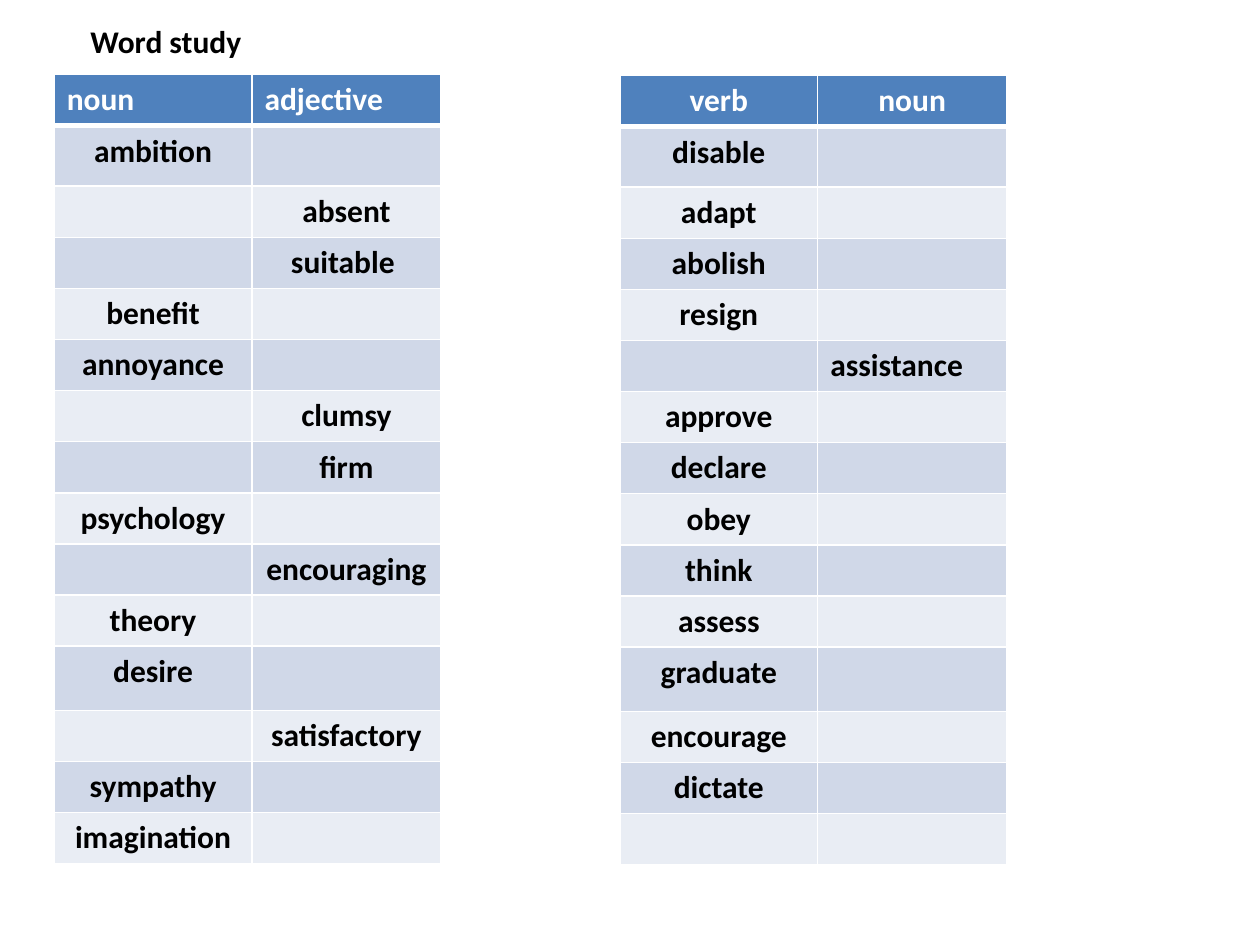
from dataclasses import dataclass

from lxml.etree import SubElement
from pptx import Presentation
from pptx.dml.color import RGBColor
from pptx.enum.text import PP_ALIGN
from pptx.oxml.ns import qn
from pptx.util import Inches, Pt

WIDTH, HEIGHT = Inches(10), Inches(7.5)
WHITE, BLACK, HEADER_BLUE = "FFFFFF", "000000", "4F81BD"
BANDS = ("D0D8E8", "E9EDF4")
COLUMN_SHARES = (0.157, 0.15)
ROW_HEIGHT = Pt(29.2)
TALL_ROWS = {1: Inches(0.48), 11: Inches(0.51)}


@dataclass
class WordTable:
    left: float  # share of the slide's width
    top: float  # share of the slide's height
    header: tuple[str, str]
    header_align: PP_ALIGN
    words: list[tuple[str, str]]


ADJECTIVES = WordTable(0.043, 0.079, ("noun", "adjective"), PP_ALIGN.LEFT, [
    ("ambition", ""), ("", "absent"), ("", "suitable "), ("benefit", ""),
    ("annoyance", ""), ("", "clumsy"), ("", "firm"), ("psychology", ""),
    ("", "encouraging"), ("theory", ""), ("desire", ""),
    ("", "satisfactory"), ("sympathy", ""), ("imagination", ""),
])
VERBS = WordTable(0.492, 0.08, ("verb", "noun"), PP_ALIGN.CENTER, [
    ("disable", ""), ("adapt", ""), ("abolish", ""), ("resign", ""),
    ("", "assistance"), ("approve", ""), ("declare", ""), ("obey", ""),
    ("think", ""), ("assess", ""), ("graduate", ""), ("encourage", ""),
    ("dictate", ""), ("", ""),
])
LEFT_ALIGNED = {"assistance"}


def color(value: str) -> RGBColor:
    return RGBColor.from_string(value)


def write(frame, text: str, *, ink: str = BLACK, align: PP_ALIGN = PP_ALIGN.LEFT,
          size: float = 18, bold: bool = True) -> None:
    paragraph = frame.paragraphs[0]
    paragraph.alignment = align
    paragraph.font.size = Pt(size)
    if text:
        run = paragraph.add_run()
        run.text = text
        run.font.name, run.font.size, run.font.bold = "Calibri", Pt(size), bold
        run.font.color.rgb = color(ink)


def add_borders(cell, top: float, bottom: float) -> None:
    properties = cell._tc.get_or_add_tcPr()
    for side, width in (("L", 1), ("R", 1), ("T", top), ("B", bottom)):
        line = SubElement(properties, qn(f"a:ln{side}"), w=str(Pt(width)))
        SubElement(SubElement(line, qn("a:solidFill")), qn("a:srgbClr"), val=WHITE)


def draw_table(slide, content: WordTable) -> None:
    rows = [content.header, *content.words]
    table = slide.shapes.add_table(
        len(rows), len(COLUMN_SHARES),
        int(content.left * WIDTH), int(content.top * HEIGHT),
        int(sum(COLUMN_SHARES) * WIDTH), ROW_HEIGHT * len(rows)).table
    for column, share in zip(table.columns, COLUMN_SHARES):
        column.width = int(share * WIDTH)

    for r, words in enumerate(rows):
        table.rows[r].height = TALL_ROWS.get(r, ROW_HEIGHT)
        is_header = r == 0
        for c, word in enumerate(words):
            cell = table.cell(r, c)
            # The heavy rule is shared by the header and the first word row
            add_borders(cell, top=3 if r == 1 else 1, bottom=3 if is_header else 1)
            cell.fill.solid()
            cell.fill.fore_color.rgb = color(HEADER_BLUE if is_header else BANDS[(r - 1) % 2])
            if is_header:
                align = content.header_align
            else:
                align = PP_ALIGN.LEFT if word in LEFT_ALIGNED else PP_ALIGN.CENTER
            write(cell.text_frame, word, ink=WHITE if is_header else BLACK, align=align)


def main() -> None:
    deck = Presentation()
    deck.slide_width, deck.slide_height = WIDTH, HEIGHT
    slide = deck.slides.add_slide(deck.slide_layouts[6])

    # Heading
    heading = slide.shapes.add_textbox(
        int(0.062 * WIDTH), int(0.017 * HEIGHT), int(0.677 * WIDTH), int(0.095 * HEIGHT))
    heading.text_frame.word_wrap = True
    write(heading.text_frame, "Word study")

    # Word-formation tables
    for content in (ADJECTIVES, VERBS):
        draw_table(slide, content)

    deck.save("out.pptx")


if __name__ == "__main__":
    main()
